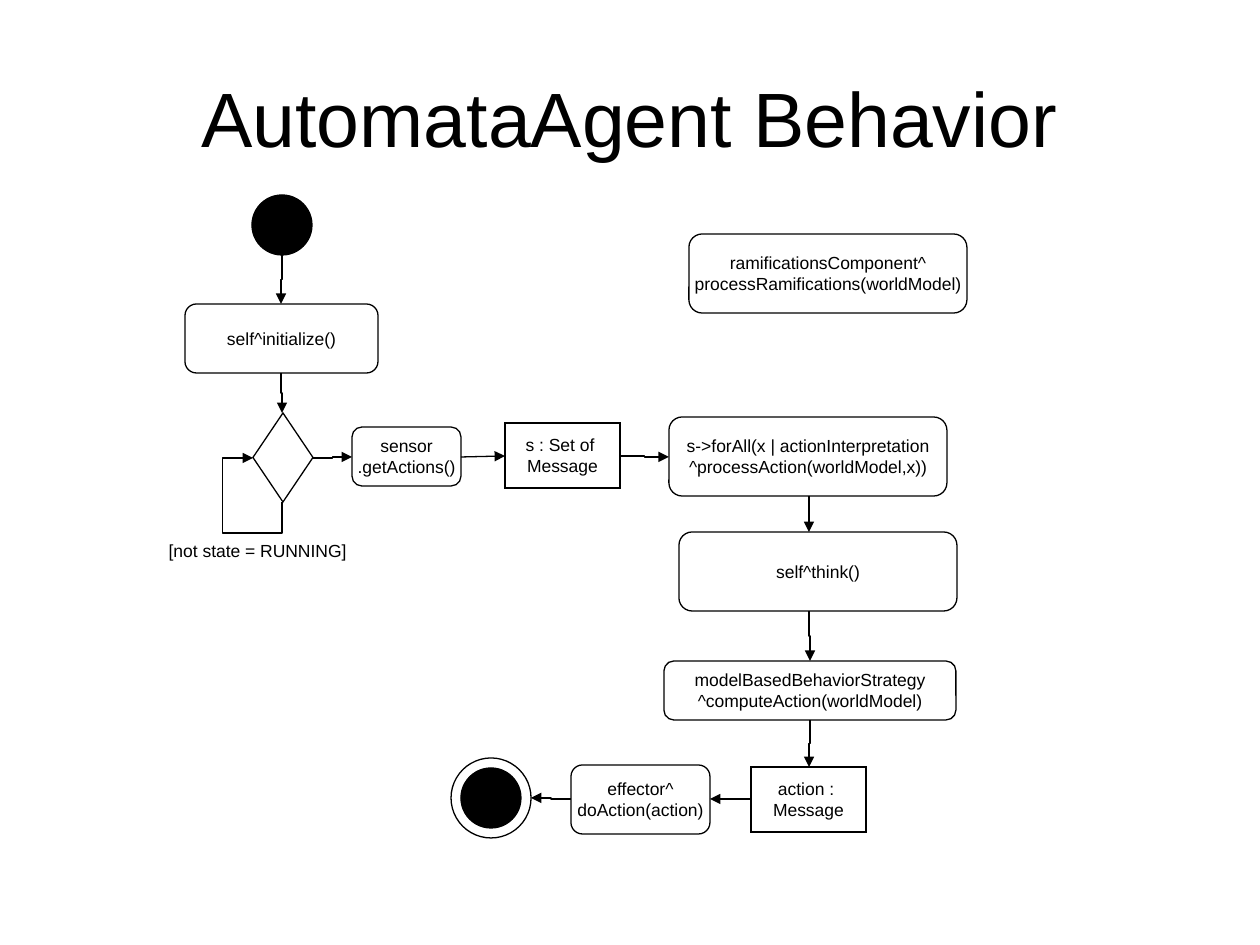
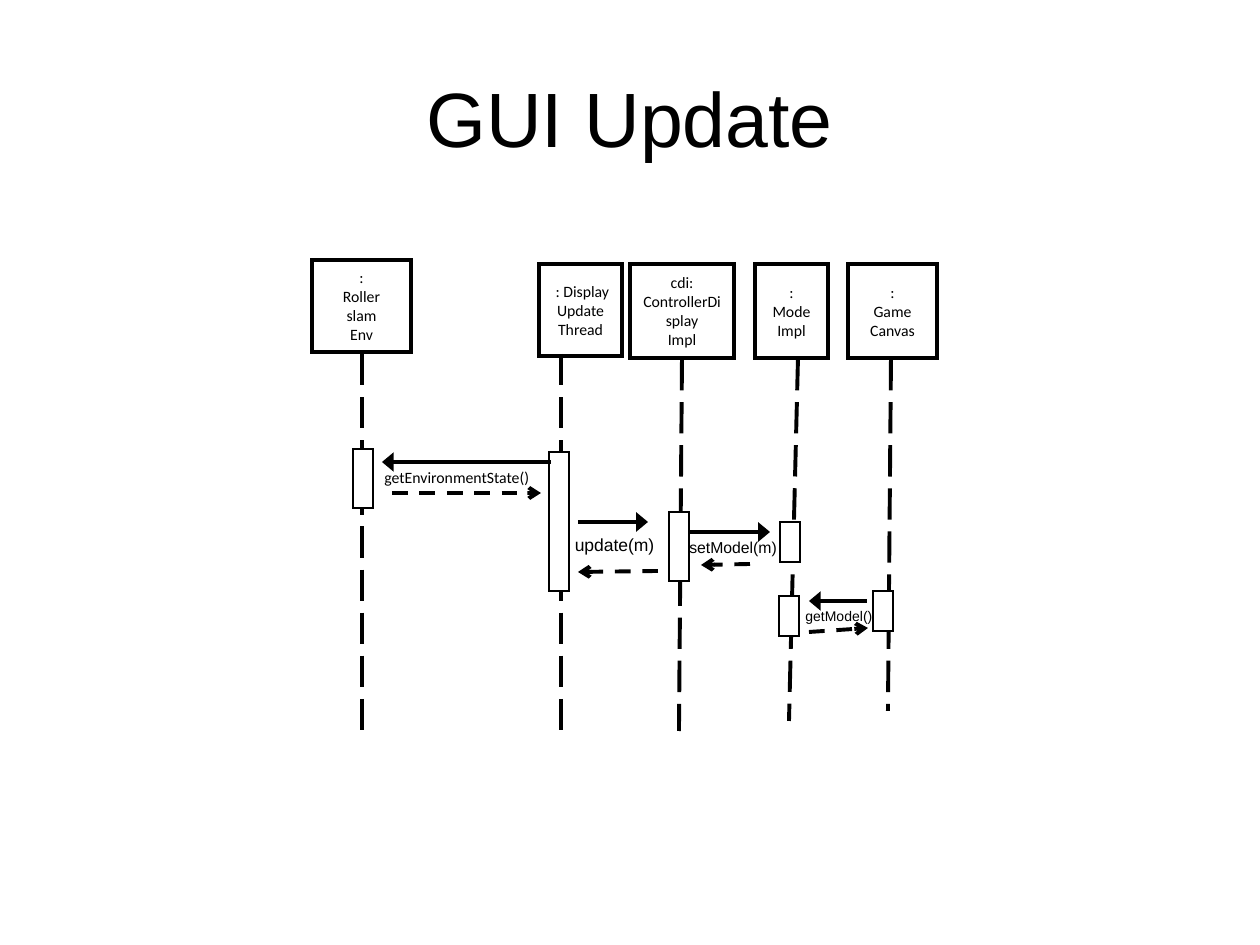
from pptx import Presentation
from pptx.dml.color import RGBColor
from pptx.enum.dml import MSO_LINE
from pptx.enum.shapes import MSO_CONNECTOR, MSO_SHAPE
from pptx.enum.text import MSO_ANCHOR, MSO_AUTO_SIZE, PP_ALIGN
from pptx.oxml.ns import qn
from pptx.util import Emu, Pt
from lxml import etree

PX = 914400 / 126
COLORS = {"ink": "000000", "paper": "FFFFFF"}
OVAL, DIAMOND = MSO_SHAPE.OVAL, MSO_SHAPE.DIAMOND
RECT, ROUNDED = MSO_SHAPE.RECTANGLE, MSO_SHAPE.ROUNDED_RECTANGLE
STRAIGHT, ELBOW = MSO_CONNECTOR.STRAIGHT, MSO_CONNECTOR.ELBOW
DASH, LONG_DASH = MSO_LINE.DASH, MSO_LINE.LONG_DASH
LEFT, CENTER, MIDDLE = PP_ALIGN.LEFT, PP_ALIGN.CENTER, MSO_ANCHOR.MIDDLE
GROW = MSO_AUTO_SIZE.SHAPE_TO_FIT_TEXT
TITLE_ONLY = 5

# Text formats
TITLE = {"name": "Arial", "size": Pt(44)}
STEP = {"name": "Arial", "size": Pt(10)}
HEAD = {"name": "Calibri", "size": Pt(9)}
SET_CALL = {"name": "Arial", "size": Pt(9)}
GET_CALL = {"name": "Arial", "size": Pt(8)}

# Line widths in points
THIN, FRAME, THICK = 0.75, 2, 2.25

# Arrowheads
FLOW_HEAD = {"type": "triangle"}
CALL_HEAD = {"type": "triangle", "w": "lg"}
REPLY_HEAD = {"type": "arrow"}


def px(*lengths):
    return [Emu(round(length * PX)) for length in lengths]


def color(name):
    return RGBColor.from_string(COLORS[name])


def write(frame, lines, style, align=CENTER):
    for number, line in enumerate(lines):
        para = frame.paragraphs[0] if number == 0 else frame.add_paragraph()
        para.alignment = align
        span = para.add_run()
        span.text = line
        for key, value in style.items():
            setattr(span.font, key, value)
        span.font.color.rgb = color("ink")


def add_titled_slide(deck, text):
    slide = deck.slides.add_slide(deck.slide_layouts[TITLE_ONLY])
    title = slide.shapes.title
    title.left, title.top, title.width, title.height = px(63, 38, 1134, 157)
    title.text_frame.vertical_anchor = MIDDLE
    write(title.text_frame, [text], TITLE)
    return slide.shapes


def add_box(shapes, kind, place, lines=(), style=STEP, fill="paper",
            width=THIN, wrap=False):
    box = shapes.add_shape(kind, *px(*place))
    box.shadow.inherit = False
    box.fill.solid()
    box.fill.fore_color.rgb = color(fill)
    box.line.color.rgb = color("ink")
    box.line.width = Pt(width)
    etree.SubElement(box.line._get_or_add_ln(), qn("a:miter"), lim="800000")
    box.text_frame.word_wrap = wrap
    write(box.text_frame, lines, style)


def add_label(shapes, place, text, style, align=CENTER, wrap=False):
    label = shapes.add_textbox(*px(*place))
    label.text_frame.word_wrap = wrap
    label.text_frame.auto_size = GROW
    write(label.text_frame, [text], style, align)


def add_line(shapes, start, end, kind=STRAIGHT, width=THIN, dash=None, head=None):
    line = shapes.add_connector(kind, *px(*start, *end))
    line.line.color.rgb = color("ink")
    line.line.width = Pt(width)
    if dash:
        line.line.dash_style = dash
    if head:
        etree.SubElement(line.line._get_or_add_ln(), qn("a:tailEnd"), head)
    etree.SubElement(line._element.spPr, qn("a:effectLst"))
    return line


def add_turned_elbow(shapes, start, end, turn):
    """Elbow that leaves its start vertically: turn is 90 or 270 degrees."""
    sign = 1 if turn == 90 else -1
    half_x = sign * (end[1] - start[1]) / 2
    half_y = -sign * (end[0] - start[0]) / 2
    mid_x, mid_y = (start[0] + end[0]) / 2, (start[1] + end[1]) / 2
    elbow = add_line(shapes, (mid_x - half_x, mid_y - half_y),
                     (mid_x + half_x, mid_y + half_y), ELBOW, head=FLOW_HEAD)
    elbow._element.spPr.find(qn("a:xfrm")).set("rot", str(turn * 60000))
    return elbow


def add_loop(shapes, start, end, bends):
    loop = add_turned_elbow(shapes, start, end, 270)
    geometry = loop._element.spPr.find(qn("a:prstGeom"))
    geometry.set("prst", "bentConnector4")
    guides = geometry.find(qn("a:avLst"))
    for number, bend in enumerate(bends, 1):
        etree.SubElement(guides, qn("a:gd"), name=f"adj{number}", fmla=f"val {bend}")


def build_behavior(deck):
    shapes = add_titled_slide(deck, "AutomataAgent Behavior")

    # Start, decision and end nodes
    add_box(shapes, OVAL, (252, 195, 60, 60), fill="ink")
    add_box(shapes, DIAMOND, (253, 413, 60, 89))
    final = shapes.add_group_shape().shapes
    add_box(final, OVAL, (451, 758, 80, 80))
    add_box(final, OVAL, (461, 768, 60, 60), fill="ink")

    # Actions and the objects passed between them
    for kind, place, *lines in (
        (ROUNDED, (185, 304, 193, 69), "self^initialize()"),
        (ROUNDED, (352, 427, 109, 59), "sensor", ".getActions()"),
        (RECT, (505, 423, 115, 65), "s : Set of ", "Message"),
        (ROUNDED, (669, 417, 278, 79), "s->forAll(x | actionInterpretation",
         "^processAction(worldModel,x))"),
        (ROUNDED, (679, 532, 278, 79), "self^think()"),
        (ROUNDED, (664, 661, 292, 59), "modelBasedBehaviorStrategy",
         "^computeAction(worldModel)"),
        (RECT, (751, 767, 115, 65), "action : ", "Message"),
        (ROUNDED, (571, 765, 139, 69), "effector^", "doAction(action)"),
        (ROUNDED, (689, 234, 278, 79), "ramificationsComponent^",
         "processRamifications(worldModel)"),
    ):
        add_box(shapes, kind, place, lines)

    # Flow
    for start, end, turn in (
        ((282, 255), (281, 304), 90),
        ((281, 373), (282, 413), 270),
        ((809, 611), (810, 661), 270),
        ((810, 720), (809, 767), 90),
    ):
        add_turned_elbow(shapes, start, end, turn)
    for start, end, kind in (
        ((313, 458), (352, 457), ELBOW),
        ((461, 457), (505, 456), STRAIGHT),
        ((620, 456), (669, 457), ELBOW),
        ((809, 496), (809, 532), STRAIGHT),
        ((751, 799), (710, 799), STRAIGHT),
        ((571, 799), (531, 798), ELBOW),
    ):
        add_line(shapes, start, end, kind, head=FLOW_HEAD)

    # Waiting loop
    add_loop(shapes, (282, 502), (253, 458), (-70500, 205800))
    add_label(shapes, (156, 534, 203, 34), "[not state = RUNNING]", STEP)


def build_update(deck):
    shapes = add_titled_slide(deck, "GUI Update")

    # Participants with their lifelines
    for place, lines, start, end in (
        ((312, 260, 99, 92), (":", "Roller", "slam", "Env"), (362, 354), (362, 731)),
        ((539, 264, 83, 92), (" : Display", "Update", "Thread"), (561, 354), (561, 731)),
        ((630, 264, 104, 94), ("cdi:", "ControllerDisplay", "Impl"),
         (682, 359), (679, 731)),
        ((755, 264, 73, 94), (":", "Mode", "Impl"), (798, 359), (789, 721)),
        ((848, 264, 89, 94), (":", "Game", "Canvas"), (891, 359), (888, 711)),
    ):
        add_box(shapes, RECT, place, lines, HEAD, width=FRAME, wrap=True)
        add_line(shapes, start, end, width=THICK, dash=LONG_DASH)

    # Activation bars
    for left, top, height in ((353, 449, 59), (549, 452, 139), (669, 512, 69),
                              (780, 522, 40), (779, 596, 40), (873, 591, 40)):
        add_box(shapes, RECT, (left, top, 20, height))

    # Calls and replies
    for start, end in (((551, 462), (382, 462)), ((578, 522), (648, 522)),
                       ((690, 532), (770, 532)), ((867, 601), (809, 601))):
        add_line(shapes, start, end, width=THICK, head=CALL_HEAD)
    for start, end in (((392, 493), (541, 493)), ((658, 571), (578, 572)),
                       ((750, 564), (701, 565)), ((809, 632), (868, 628))):
        add_line(shapes, start, end, width=THICK, dash=DASH, head=REPLY_HEAD)

    # Message names
    add_label(shapes, (372, 462, 218, 31), "getEnvironmentState()", HEAD, LEFT, True)
    add_label(shapes, (562, 528, 105, 34), "update(m)", STEP)
    add_label(shapes, (673, 532, 120, 31), "setModel(m)", SET_CALL)
    add_label(shapes, (789, 601, 100, 30), "getModel()", GET_CALL)


def main():
    deck = Presentation()
    deck.slide_width, deck.slide_height = px(1260, 945)
    build_behavior(deck)
    build_update(deck)
    deck.save("out.pptx")


if __name__ == "__main__":
    main()
